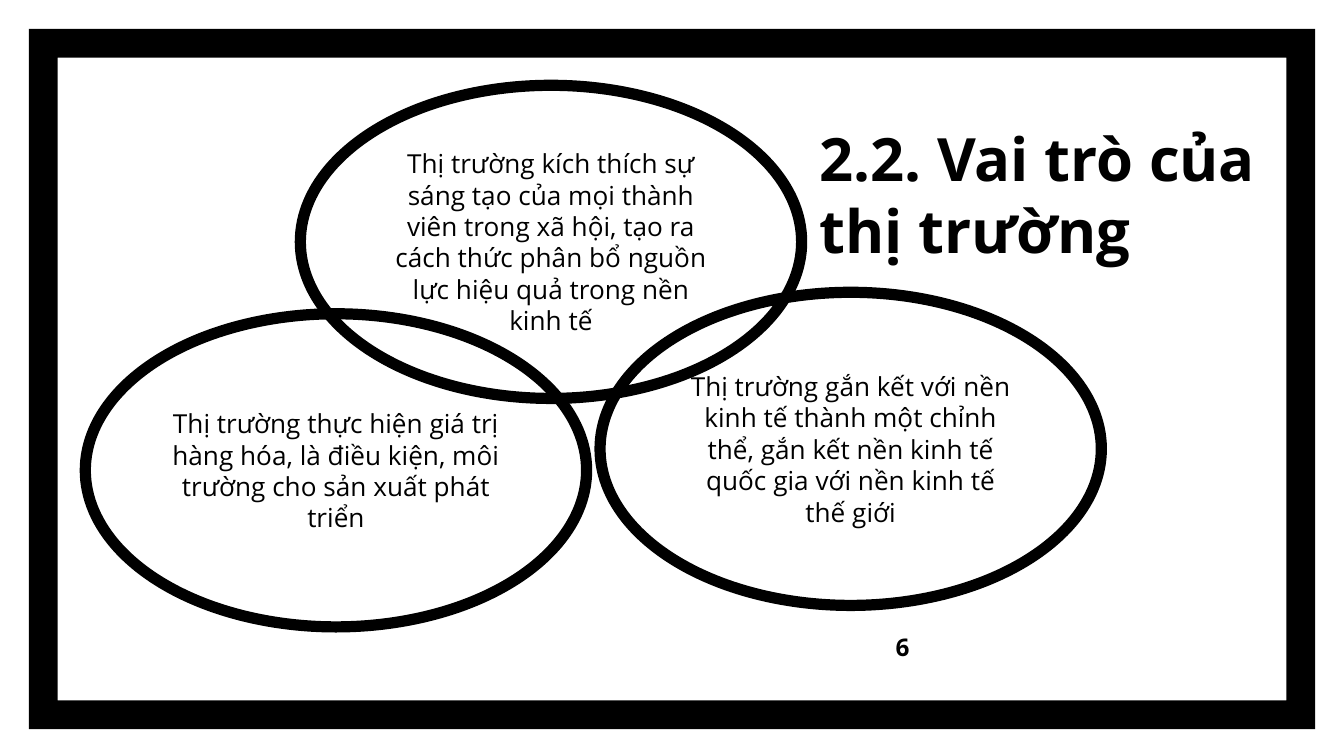
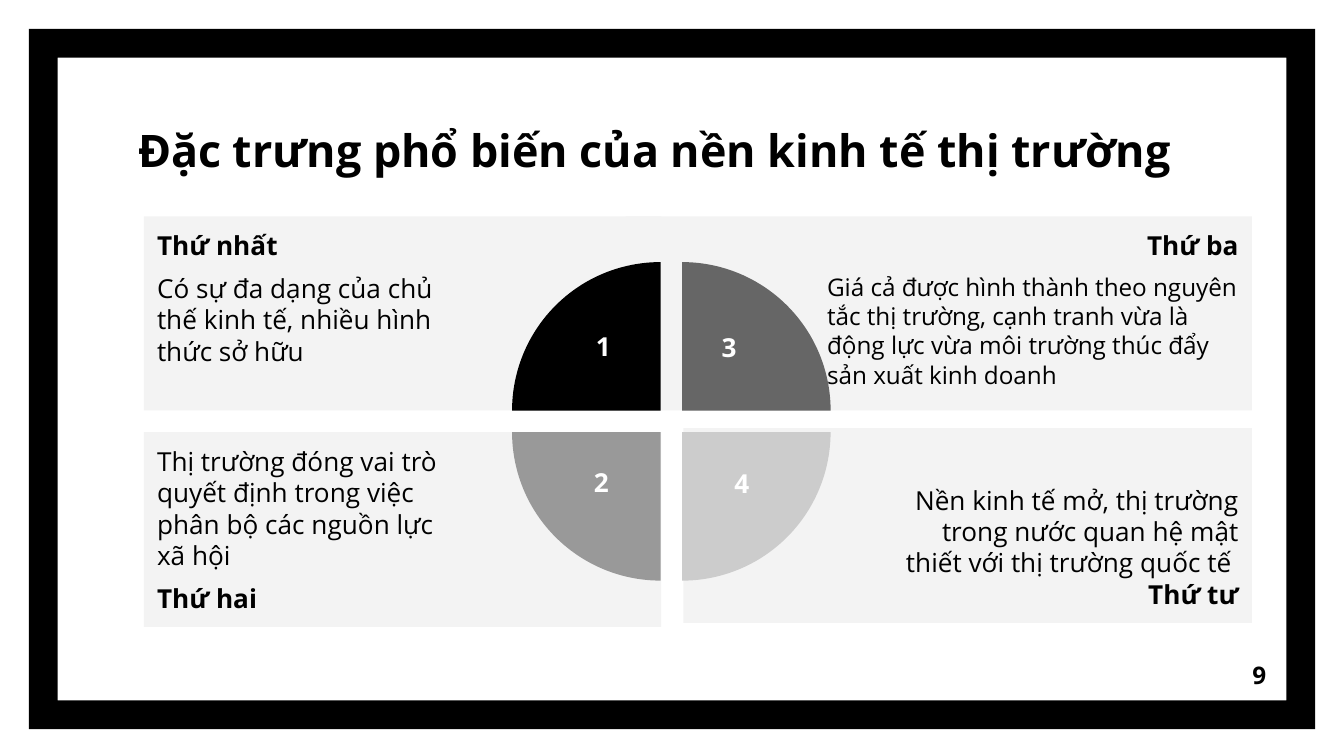
from dataclasses import dataclass
from typing import Any, NamedTuple

from pptx import Presentation
from pptx.dml.color import RGBColor
from pptx.enum.shapes import MSO_SHAPE
from pptx.enum.text import MSO_ANCHOR, PP_ALIGN
from pptx.shapes.autoshape import Shape
from pptx.slide import Slide
from pptx.util import Emu, Pt

EMU_PER_PX = 4572  # 200 px to the inch
SLIDE_WIDTH, SLIDE_HEIGHT = 2000, 1125

BLACK = RGBColor(0x00, 0x00, 0x00)
WHITE = RGBColor(0xFF, 0xFF, 0xFF)
PANEL_GREY = RGBColor(0xF3, 0xF3, 0xF3)
DARK_GREY = RGBColor(0x66, 0x66, 0x66)
MID_GREY = RGBColor(0x99, 0x99, 0x99)
LIGHT_GREY = RGBColor(0xCC, 0xCC, 0xCC)

FONT = "Open Sans"
INSET = 20
WIDE_INSET = 300
LEFT, CENTER, RIGHT = PP_ALIGN.LEFT, PP_ALIGN.CENTER, PP_ALIGN.RIGHT


class Box(NamedTuple):
    left: int
    top: int
    width: int
    height: int


class Insets(NamedTuple):
    left: int = INSET
    top: int = INSET
    right: int = INSET
    bottom: int = INSET


@dataclass(frozen=True)
class Para:
    text: str
    size: int = 14
    bold: bool = False
    align: PP_ALIGN = LEFT
    before: int = 0
    after: int = 0
    color: RGBColor = BLACK


@dataclass(frozen=True)
class Panel:
    box: Box
    insets: Insets
    anchor: MSO_ANCHOR
    paras: tuple[Para, ...]


@dataclass(frozen=True)
class Quarter:
    color: RGBColor
    column: int
    row: int
    number: str
    number_box: Box


ROLE_SIZE = (746, 466)
ROLES = (
    (Box(447, 127, *ROLE_SIZE),
     "Thị trường kích thích sự sáng tạo của mọi thành viên trong xã hội, "
     "tạo ra cách thức phân bổ nguồn lực hiệu quả trong nền kinh tế"),
    (Box(127, 467, *ROLE_SIZE),
     "Thị trường thực hiện giá trị hàng hóa, là điều kiện, môi trường "
     "cho sản xuất phát triển"),
    (Box(893, 435, *ROLE_SIZE),
     "Thị trường gắn kết với nền kinh tế thành một chỉnh thể, gắn kết "
     "nền kinh tế quốc gia với nền kinh tế thế giới"),
)

TEXT_ON_LEFT = Insets(right=WIDE_INSET)
TEXT_ON_RIGHT = Insets(left=WIDE_INSET)
FEATURES = (
    Panel(Box(214, 322, 770, 289), TEXT_ON_LEFT, MSO_ANCHOR.TOP, (
        Para("Thứ nhất", bold=True),
        Para("Có sự đa dạng của chủ thế kinh tế, nhiều hình thức sở hữu",
             before=6, after=6))),
    Panel(Box(931, 322, 932, 289), TEXT_ON_RIGHT, MSO_ANCHOR.TOP, (
        Para("Thứ ba", bold=True, align=RIGHT),
        Para("Giá cả được hình thành theo nguyên tắc thị trường, cạnh tranh "
             "vừa là động lực vừa môi trường thúc đẩy sản xuất kinh doanh",
             size=13, before=6, after=6))),
    Panel(Box(214, 643, 770, 290), TEXT_ON_LEFT, MSO_ANCHOR.BOTTOM, (
        Para("Thị trường đóng vai trò quyết định trong việc phân bộ "
             "các nguồn lực xã hội"),
        Para("Thứ hai", bold=True, before=6))),
    Panel(Box(1017, 637, 846, 290), TEXT_ON_RIGHT, MSO_ANCHOR.BOTTOM, (
        Para("Nền kinh tế mở, thị trường trong nước quan hệ mật thiết "
             "với thị trường quốc tế ", align=RIGHT),
        Para("Thứ tư", bold=True, align=RIGHT))),
)

WHEEL_LEFT, WHEEL_TOP, WHEEL_DIAMETER, WHEEL_GAP = 762, 390, 442, 32
QUARTERS = (  # clockwise from the upper left
    Quarter(BLACK, 0, 0, "1", Box(864, 482, 68, 76)),
    Quarter(DARK_GREY, 1, 0, "3", Box(1050, 484, 70, 74)),
    Quarter(LIGHT_GREY, 1, 1, "4", Box(1070, 686, 68, 74)),
    Quarter(MID_GREY, 0, 1, "2", Box(858, 684, 74, 76)),
)


def px(length: int) -> Emu:
    return Emu(length * EMU_PER_PX)


def set_all(target: Any, values: dict[str, Any]) -> None:
    for attribute, value in values.items():
        setattr(target, attribute, value)


def write(shape: Shape, paras: tuple[Para, ...], anchor: MSO_ANCHOR,
          insets: Insets = Insets()) -> None:
    frame = shape.text_frame
    set_all(frame, {"word_wrap": True, "vertical_anchor": anchor})
    set_all(frame, {f"margin_{side}": px(inset)
                    for side, inset in insets._asdict().items()})
    for index, para in enumerate(paras):
        paragraph = frame.add_paragraph() if index else frame.paragraphs[0]
        set_all(paragraph, {"alignment": para.align,
                            "space_before": Pt(para.before),
                            "space_after": Pt(para.after)})
        run = paragraph.add_run()
        run.text = para.text
        set_all(run.font, {"name": FONT, "size": Pt(para.size), "bold": para.bold})
        run.font.color.rgb = para.color


def add_text(slide: Slide, box: Box, para: Para, anchor: MSO_ANCHOR,
             insets: Insets = Insets()) -> None:
    write(slide.shapes.add_textbox(*map(px, box)), (para,), anchor, insets)


def add_filled(slide: Slide, kind: MSO_SHAPE, box: Box, color: RGBColor) -> Shape:
    shape = slide.shapes.add_shape(kind, *map(px, box))
    shape.shadow.inherit = False
    shape.fill.solid()
    shape.fill.fore_color.rgb = color
    shape.line.fill.background()
    return shape


def add_role(slide: Slide, box: Box, text: str) -> None:
    ellipse = slide.shapes.add_shape(MSO_SHAPE.OVAL, *map(px, box))
    ellipse.shadow.inherit = False
    ellipse.fill.background()
    ellipse.line.color.rgb = BLACK
    ellipse.line.width = Pt(6)
    write(ellipse, (Para(text, align=CENTER),), MSO_ANCHOR.MIDDLE)


def add_wheel(slide: Slide) -> None:
    for turn, quarter in enumerate(QUARTERS):
        box = Box(WHEEL_LEFT + quarter.column * WHEEL_GAP,
                  WHEEL_TOP + quarter.row * WHEEL_GAP,
                  WHEEL_DIAMETER, WHEEL_DIAMETER)
        pie = add_filled(slide, MSO_SHAPE.PIE, box, quarter.color)
        pie.adjustments[0], pie.adjustments[1] = 108, 162  # 180 to 270 degrees
        pie.rotation = turn * 90
    for quarter in QUARTERS:
        add_text(slide, quarter.number_box,
                 Para(quarter.number, bold=True, align=CENTER, color=WHITE),
                 MSO_ANCHOR.TOP, Insets(top=10, bottom=10))


def add_framed_slide(deck: Presentation, title: str, title_box: Box, title_size: int,
                     number: str, number_box: Box) -> Slide:
    """Add a slide with the black frame, its title and its page number."""
    slide = deck.slides.add_slide(deck.slide_layouts[6])
    frame = add_filled(slide, MSO_SHAPE.FRAME, Box(43, 43, 1914, 1042), BLACK)
    frame.adjustments[0] = 0.041
    add_text(slide, title_box, Para(title, size=title_size, bold=True),
             MSO_ANCHOR.BOTTOM)
    add_text(slide, number_box, Para(number, size=13, bold=True, align=RIGHT),
             MSO_ANCHOR.MIDDLE)
    return slide


def build_roles(deck: Presentation) -> None:
    slide = add_framed_slide(deck, "2.2. Vai trò của thị trường",
                             Box(1200, 117, 705, 298), 32,
                             "6", Box(1181, 920, 192, 86))
    for box, text in ROLES:
        add_role(slide, box, text)


def build_features(deck: Presentation) -> None:
    slide = add_framed_slide(deck, "Đặc trưng phổ biến của nền kinh tế thị trường",
                             Box(186, 150, 1628, 132), 24,
                             "9", Box(1784, 961, 120, 86))
    for panel in FEATURES:
        shape = add_filled(slide, MSO_SHAPE.RECTANGLE, panel.box, PANEL_GREY)
        write(shape, panel.paras, panel.anchor, panel.insets)
    add_wheel(slide)


def main() -> None:
    deck = Presentation()
    set_all(deck, {"slide_width": px(SLIDE_WIDTH), "slide_height": px(SLIDE_HEIGHT)})
    build_roles(deck)
    build_features(deck)
    deck.save("out.pptx")


if __name__ == "__main__":
    main()
